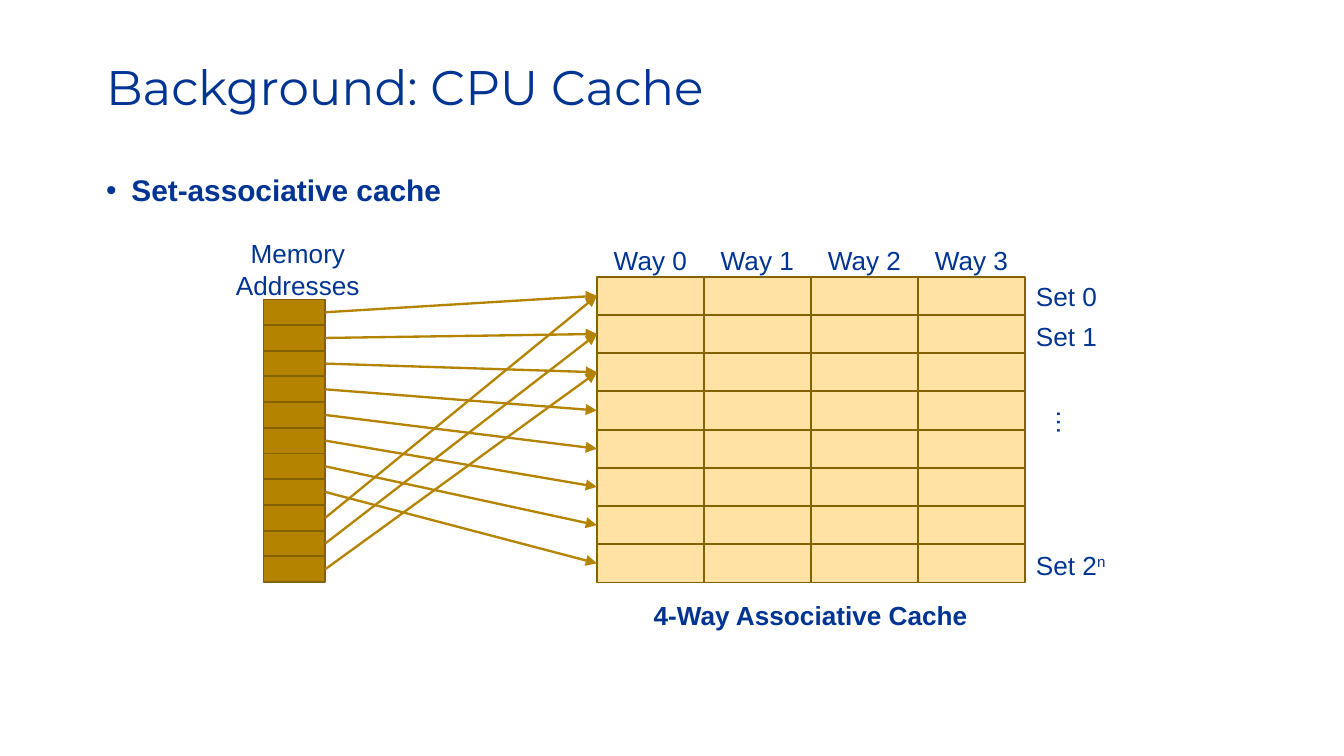
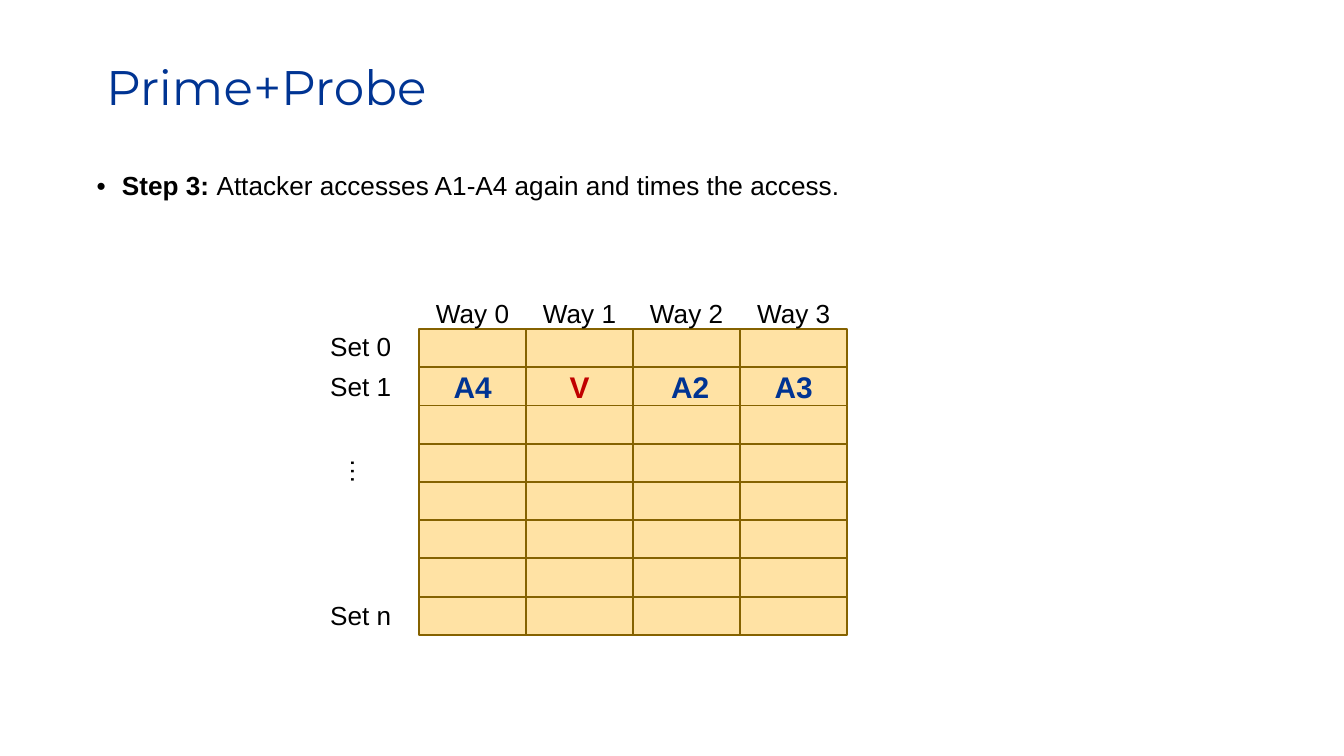
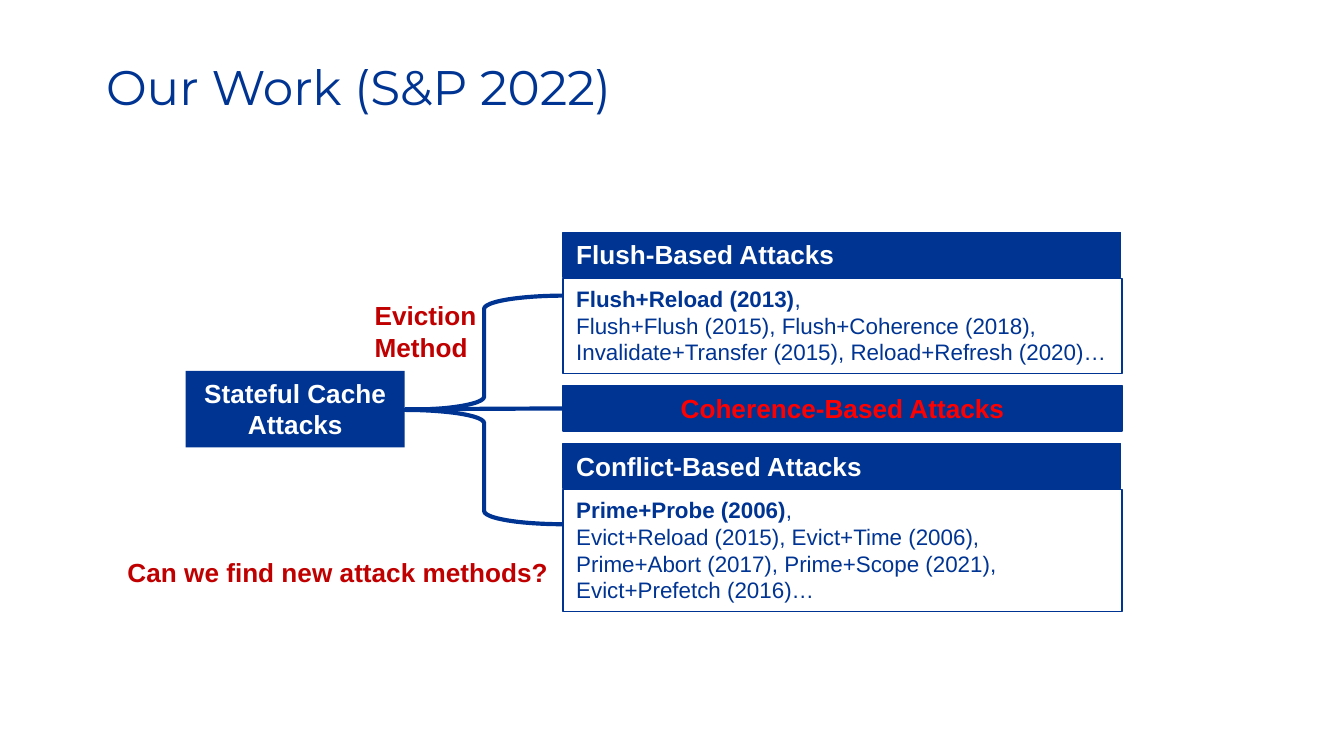
"""Build three slides on CPU caches and cache attacks."""
import pptx
import pptx.dml.color
import pptx.enum.shapes
import pptx.enum.text
import pptx.oxml
import pptx.oxml.ns
import pptx.util

Cm = pptx.util.Cm
Pt = pptx.util.Pt
ALIGN = pptx.enum.text.PP_ALIGN
ANCHOR = pptx.enum.text.MSO_ANCHOR
AUTO_SIZE = pptx.enum.text.MSO_AUTO_SIZE
SHAPE = pptx.enum.shapes.MSO_SHAPE

COLORS = {
    "navy": "003493", "black": "000000", "white": "FFFFFF", "crimson": "C00000",
    "red": "FF0000", "cell": "FFE2A4", "memory": "B48400", "outline": "856200",
}
TEXT = {"name": "Arial", "size": Pt(14), "bold": False, "color": "navy"}
BOLD = {**TEXT, "bold": True}
TITLE = {**TEXT, "name": "Montserrat", "size": Pt(26)}
ENTRY = {**BOLD, "size": Pt(16)}
DETAIL = {**TEXT, "size": Pt(12)}
HEADING = {**BOLD, "color": "white"}

WAYS, SETS, ADDRESSES = 4, 8, 11
CELL_WIDTH, CELL_HEIGHT = 8.09 / WAYS, 5.78 / SETS
ADDRESS_WIDTH, ADDRESS_HEIGHT = 1.17, 5.34 / ADDRESSES
LABEL_HEIGHT = 0.86


def rgb(color):
    """Return the named colour as an RGB value."""
    return pptx.dml.color.RGBColor.from_string(COLORS[color])


def add_run(paragraph, text, style):
    """Append one run, with every attribute taken from the style."""
    run = paragraph.add_run()
    run.text = text
    for key, value in style.items():
        if key == "color":
            run.font.color.rgb = rgb(value)
        elif key == "baseline":
            run._r.get_or_add_rPr().set("baseline", value)
        else:
            setattr(run.font, key, value)


def write(shape, paragraphs, style, align=ALIGN.LEFT, **frame_format):
    """Fill a shape with paragraphs given as strings or lists of (text, changes)."""
    frame = shape.text_frame
    settings = {"word_wrap": True, "vertical_anchor": ANCHOR.TOP,
                "auto_size": AUTO_SIZE.SHAPE_TO_FIT_TEXT, **frame_format}
    for key, value in settings.items():
        setattr(frame, key, value)
    for index, runs in enumerate(paragraphs):
        paragraph = frame.add_paragraph() if index else frame.paragraphs[0]
        paragraph.alignment = align
        for text, changes in [(runs, {})] if isinstance(runs, str) else runs:
            add_run(paragraph, text, {**style, **changes})


def fill_placeholder(placeholder, box, runs, style):
    """Move a placeholder to its box and write one paragraph in it."""
    for key, value in zip(("left", "top", "width", "height"), box):
        setattr(placeholder, key, Cm(value))
    write(placeholder, [runs], style, auto_size=AUTO_SIZE.NONE)
    paragraph = placeholder.text_frame.paragraphs[0]
    paragraph.line_spacing = 0.9
    return paragraph


def add_titled_slide(presentation, layout, title):
    """Add a slide with the shared title style."""
    slide = presentation.slides.add_slide(presentation.slide_layouts.get_by_name(layout))
    fill_placeholder(slide.shapes.title, (1.75, 1.07, 21.89, 2.44), title, TITLE)
    return slide


def add_bullet(slide, box, runs, style):
    """Write the bulleted line of a slide."""
    paragraph = fill_placeholder(slide.placeholders[1], box, runs, style)
    paragraph.space_before = Pt(7.5)
    properties = paragraph._p.get_or_add_pPr()
    for key, value in {"marL": Cm(0.48), "indent": Cm(-0.48)}.items():
        properties.set(key, str(value))


def add_box(slide, left, top, width, height, fill=None, line=None, weight=0.75,
            kind=SHAPE.RECTANGLE):
    """Add a flat shape with optional fill and outline."""
    shape = slide.shapes.add_shape(kind, Cm(left), Cm(top), Cm(width), Cm(height))
    shape.shadow.inherit = False
    for part, color in ((shape.fill, fill), (shape.line.fill, line)):
        if color:
            part.solid()
            part.fore_color.rgb = rgb(color)
        else:
            part.background()
    if line:
        shape.line.width = Pt(weight)
    return shape


def add_label(slide, left, top, width, paragraphs, style=TEXT, align=ALIGN.LEFT,
              height=LABEL_HEIGHT):
    """Add a text box."""
    label = slide.shapes.add_textbox(Cm(left), Cm(top), Cm(width), Cm(height))
    write(label, paragraphs, style, align)
    return label


def connect(slide, start, end, color, weight, arrow=False):
    """Join the right side of one box to the left side of another."""
    connector = slide.shapes.add_connector(
        pptx.enum.shapes.MSO_CONNECTOR.STRAIGHT, 0, 0, 0, 0)
    connector.begin_connect(start, 3)
    connector.end_connect(end, 1)
    connector.line.color.rgb = rgb(color)
    connector.line.width = Pt(weight)
    if arrow:
        tail = pptx.oxml.parse_xml(
            f'<a:tailEnd {pptx.oxml.ns.nsdecls("a")} type="triangle"/>')
        connector.line._get_or_add_ln().append(tail)
    connector._element.spPr.append(
        pptx.oxml.parse_xml(f'<a:effectLst {pptx.oxml.ns.nsdecls("a")}/>'))


def add_cache(slide, left, top, label_left, label_top, last_set, style):
    """Draw the labelled grid of sets and ways and return its rows of cells."""
    rows = [[add_box(slide, left + way * CELL_WIDTH, top + row * CELL_HEIGHT,
                     CELL_WIDTH, CELL_HEIGHT, "cell", "outline", 1)
             for way in range(WAYS)] for row in range(SETS)]
    for way in range(WAYS):
        add_label(slide, left + way * CELL_WIDTH, top - 0.73, CELL_WIDTH,
                  [f"Way {way}"], style, ALIGN.CENTER)
    for offset, text in ((0, "Set 0"), (0.76, "Set 1"), (5.08, last_set)):
        add_label(slide, label_left, label_top + offset, 1.93, [text], style)
    add_label(slide, label_left - 0.13, label_top + 2.84, 1.93, ["…"], style).rotation = 90
    return rows


def add_attack_family(slide, top, heading, first, others, height):
    """Draw a heading bar with its list of attacks below."""
    bar = add_box(slide, 10.64, top, 10.54, LABEL_HEIGHT, "navy", "navy")
    write(bar, [heading], HEADING)
    attacks = add_box(slide, 10.64, top + 0.87, 10.57, height, None, "navy")
    write(attacks, [[(first, {"bold": True}), (",", {})], others], DETAIL)


def build_background(presentation):
    """Show how memory addresses map to the sets of a cache."""
    slide = add_titled_slide(presentation, "Title and Content", "Background: CPU Cache")
    add_bullet(slide, (1.75, 3.2, 18.82, 1.04), "Set-associative cache", ENTRY)
    add_label(slide, 3.84, 4.37, 3.58, ["Memory Addresses"], align=ALIGN.CENTER, height=1.45)
    rows = add_cache(slide, 11.28, 5.23, 19.33, 5.18,
                     [("Set 2", {}), ("n", {"baseline": "30000"})], TEXT)
    add_label(slide, 11.23, 11.2, 8.18, ["4-Way Associative Cache"], BOLD, ALIGN.CENTER)
    for index in range(ADDRESSES):
        address = add_box(slide, 4.98, 5.66 + index * ADDRESS_HEIGHT, ADDRESS_WIDTH,
                          ADDRESS_HEIGHT, "memory", "outline", 1)
        connect(slide, address, rows[index % SETS][0], "memory", 1.25, arrow=True)


def build_prime_probe(presentation):
    """Show the cache after the victim has evicted one entry."""
    slide = add_titled_slide(presentation, "Title and Content", "Prime+Probe")
    black = {**TEXT, "color": "black"}
    rows = add_cache(slide, 7.92, 6.22, 5.99, 6.12, "Set n", black)
    entries = (("A4", "navy"), ("V", "crimson"), (" A2", "navy"), ("A3", "navy"))
    for cell, (text, color) in zip(rows[1], entries):
        write(cell, [text], {**ENTRY, "color": color}, ALIGN.CENTER,
              vertical_anchor=ANCHOR.MIDDLE, auto_size=AUTO_SIZE.NONE)
    add_bullet(slide, (1.57, 3.15, 22.17, 2.34), [
        ("Step 3: ", {"bold": True}),
        ("Attacker accesses A1-A4 again and times the access.", {})], black)


def build_our_work(presentation):
    """Show the families of stateful cache attacks."""
    slide = add_titled_slide(presentation, "Title Only", "Our Work (S&P 2022)")
    root = add_box(slide, 3.51, 7.01, 4.14, 1.45, "navy")
    write(root, ["Stateful Cache", "Attacks"], HEADING, ALIGN.CENTER)
    add_box(slide, 7.65, 5.59, 3, 4.32, None, "navy", 2.25, SHAPE.LEFT_BRACE)
    crimson = {**BOLD, "color": "crimson"}
    add_label(slide, 6.83, 5.54, 2.84, ["Eviction", "Method"], crimson, height=1.45)
    question = add_box(slide, 2.16, 10.39, 8.79, LABEL_HEIGHT, None, "white")
    write(question, ["Can we find new attack methods?"], crimson)
    add_attack_family(
        slide, 4.39, "Flush-Based Attacks", "Flush+Reload (2013)",
        "Flush+Flush (2015), Flush+Coherence (2018), "
        "Invalidate+Transfer (2015), Reload+Refresh (2020)…", 1.8)
    add_attack_family(
        slide, 8.38, "Conflict-Based Attacks", "Prime+Probe (2006)",
        "Evict+Reload (2015), Evict+Time (2006), Prime+Abort (2017), "
        "Prime+Scope (2021), Evict+Prefetch (2016)…", 2.31)
    coherence = add_box(slide, 10.64, 7.29, 10.57, LABEL_HEIGHT, "navy", "navy")
    write(coherence, ["Coherence-Based Attacks"], {**BOLD, "color": "red"}, ALIGN.CENTER)
    connect(slide, root, coherence, "navy", 2.25)


def main():
    """Build and save the presentation."""
    presentation = pptx.Presentation()
    presentation.slide_width = Cm(25.4)
    presentation.slide_height = Cm(14.29)
    build_background(presentation)
    build_prime_probe(presentation)
    build_our_work(presentation)
    presentation.save("out.pptx")


if __name__ == "__main__":
    main()
